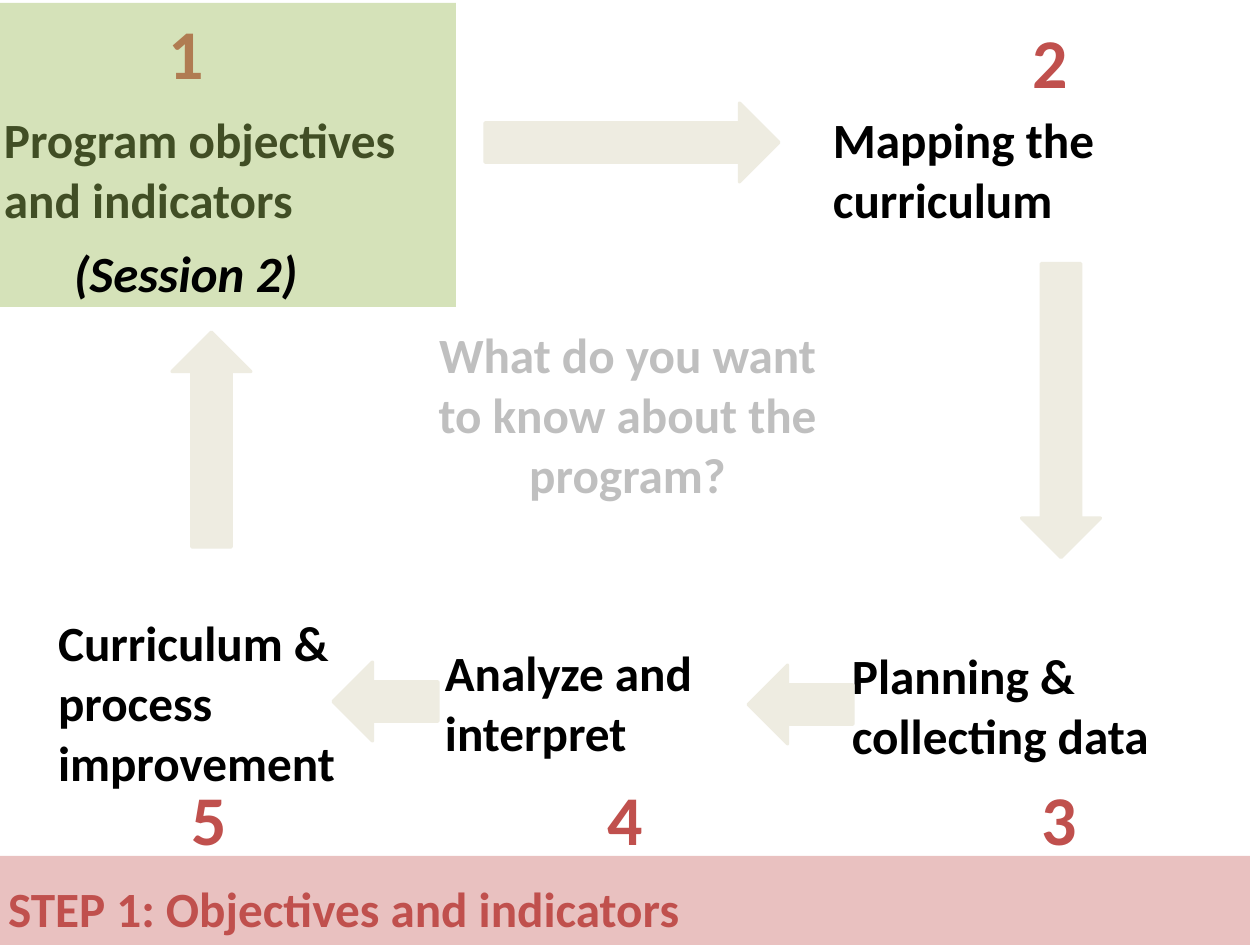
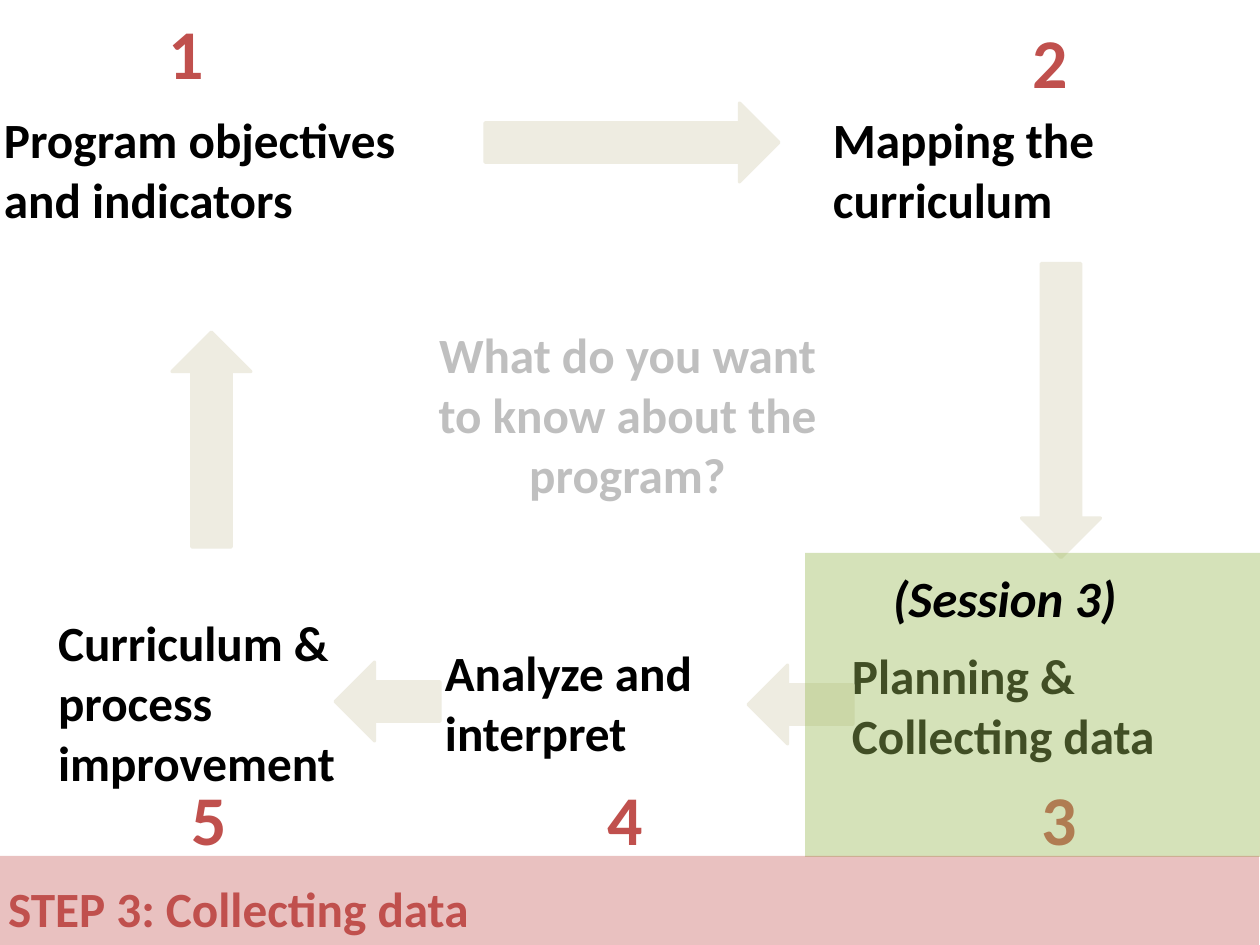
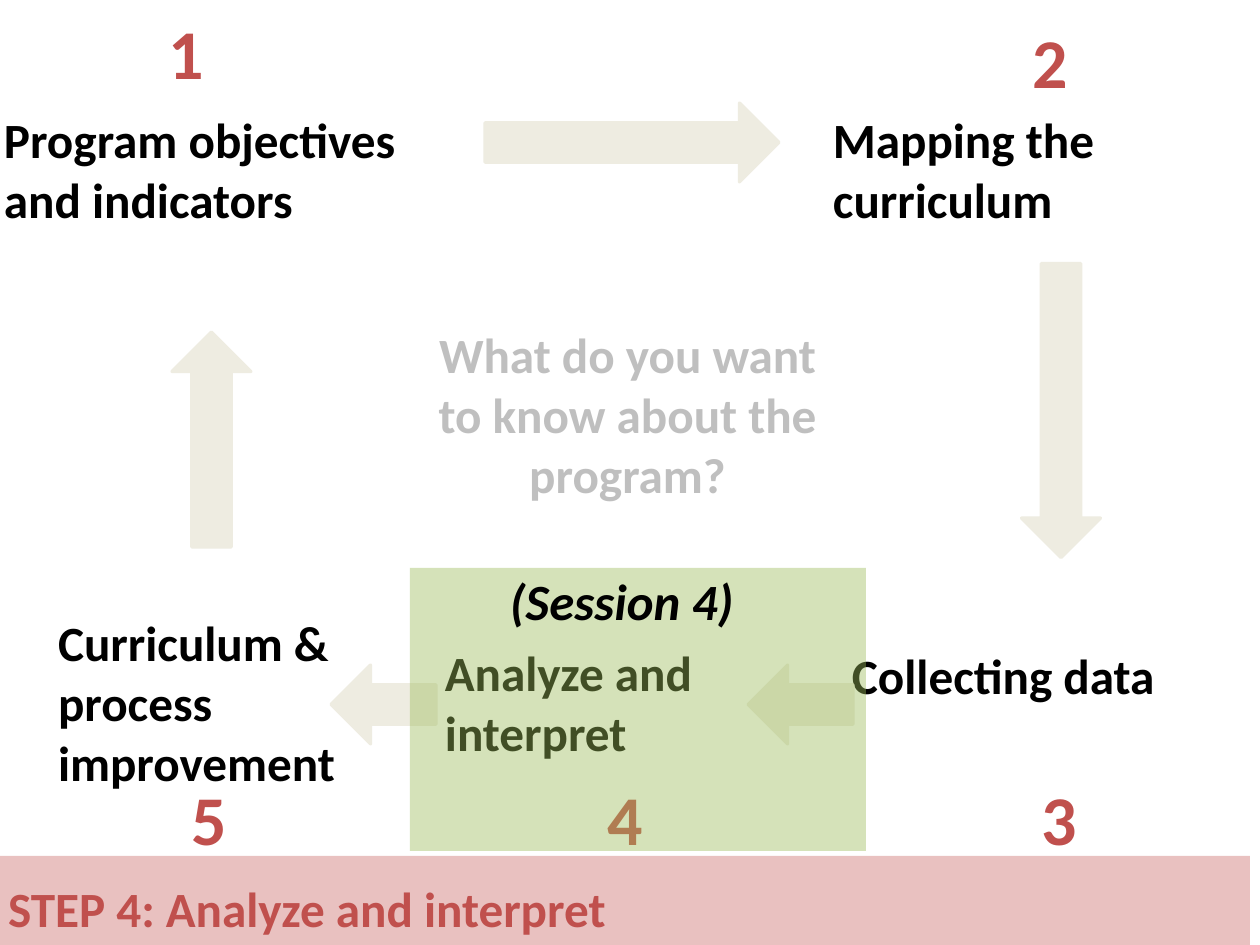
from collections import namedtuple

from lxml import etree
from pptx import Presentation
from pptx.dml.color import RGBColor
from pptx.enum.shapes import MSO_SHAPE
from pptx.enum.text import MSO_AUTO_SIZE, PP_ALIGN
from pptx.oxml.ns import qn
from pptx.util import Emu, Pt

RECTANGLE = MSO_SHAPE.RECTANGLE
RIGHT_ARROW = MSO_SHAPE.RIGHT_ARROW
GROW = MSO_AUTO_SIZE.SHAPE_TO_FIT_TEXT
LEFT, CENTER = PP_ALIGN.LEFT, PP_ALIGN.CENTER

EMU_PER_PX = 8000
PAGE_WIDTH, PAGE_HEIGHT = 1260, 945
FONT = "Calibri"
BLACK, GREY, RED, GREEN, BEIGE = "000000", "BFBFBF", "C0504D", "9BBB59", "EEECE1"
LABEL_SIZE, NOTE_SIZE, NUMBER_SIZE = 31, 32, 44
LINE_SPACING = 1.02
NUMBER_WIDTH, NUMBER_HEIGHT = 61, 99
ARROW_HEIGHT = 79

Box = namedtuple("Box", "left top width height")
Step = namedtuple("Step", "label box number_left number_top")
Session = namedtuple(
    "Session", "title note highlight note_left note_top band_width last_arrow third_step"
)

CYCLE_BOX = Box(0, 0, PAGE_WIDTH, 856)
STEPS = [
    Step("Program objectives and indicators", Box(-9, 102, 441, 135), 156, 2),
    Step("Mapping the curriculum", Box(820, 102, 379, 135), 1020, 11),
    Step("", Box(839, 638, 441, 135), 1029, 768),
    Step("Analyze and interpret", Box(432, 635, 323, 135), 595, 768),
    Step("Curriculum & process improvement", Box(45, 605, 338, 195), 179, 768),
]
ARROWS = [
    (485, 103, 294, 0),
    (104, 400, 215, 270),
    (914, 371, 294, 90),
    (748, 665, 105, 180),
]
SESSIONS = [
    Session("STEP 1: Objectives and indicators", "(Session 2)", Box(0, 3, 456, 304),
            63, 232, 1255, (333, 662, 105, 180), "Planning & collecting data"),
    Session("STEP 3: Collecting data", "(Session 3)", Box(805, 553, 456, 304),
            77, 7, 1264, (335, 662, 105, 180), "Planning & Collecting data"),
    Session("STEP 4: Analyze and interpret", "(Session 4)", Box(410, 568, 456, 283),
            89, -5, 1255, (331, 665, 105, 180), "Collecting data"),
]


def px(length):
    """Turn pixels into EMU."""
    return Emu(length * EMU_PER_PX)


def color(value):
    """Turn a hex string into a colour."""
    return RGBColor.from_string(value)


def inside(outer, left, top, width, height):
    """Return a box placed relative to the corner of an outer box."""
    return Box(outer.left + left, outer.top + top, width, height)


def add_text(page, box, text, size, ink, align=LEFT, wrap=True, italic=False, side_inset=13):
    """Add a bold line of text in a box that grows with it."""
    frame = page.shapes.add_textbox(*map(px, box)).text_frame
    frame.word_wrap = wrap
    frame.auto_size = GROW
    frame.margin_left = frame.margin_right = px(side_inset)
    frame.margin_top = frame.margin_bottom = px(6)
    para = frame.paragraphs[0]
    para.text = text
    para.alignment = align
    para.line_spacing = LINE_SPACING
    para.font.name = FONT
    para.font.size = Pt(size)
    para.font.bold = True
    para.font.italic = italic
    para.font.color.rgb = color(ink)


def add_tint(page, box, fill, opacity):
    """Add a see-through rectangle without outline."""
    shape = page.shapes.add_shape(RECTANGLE, *map(px, box))
    shape.shadow.inherit = False
    shape.line.fill.background()
    shape.fill.solid()
    shape.fill.fore_color.rgb = color(fill)
    fill_color = shape.fill._xPr.find(".//" + qn("a:srgbClr"))
    etree.SubElement(fill_color, qn("a:alpha")).set("val", str(opacity * 1000))


def add_arrow(page, box, rotation):
    """Add a beige block arrow turned by some degrees."""
    arrow = page.shapes.add_shape(RIGHT_ARROW, *map(px, box))
    arrow.shadow.inherit = False
    arrow.rotation = rotation
    arrow.fill.solid()
    arrow.fill.fore_color.rgb = color(BEIGE)
    arrow.line.color.rgb = color(BEIGE)
    arrow.line.width = Pt(2)


def add_cycle(page, box, session):
    """Place the five numbered steps, their arrows and the central question."""
    for step in STEPS:
        add_text(page, inside(box, *step.box), step.label or session.third_step,
                 LABEL_SIZE, BLACK)
    for left, top, length, rotation in ARROWS + [session.last_arrow]:
        add_arrow(page, inside(box, left, top, length, ARROW_HEIGHT), rotation)
    add_text(page, inside(box, 407, 317, 441, 195),
             "What do you want to know about the program?", LABEL_SIZE, GREY, CENTER)
    for number, step in enumerate(STEPS, 1):
        number_box = inside(box, step.number_left, step.number_top, NUMBER_WIDTH, NUMBER_HEIGHT)
        add_text(page, number_box, str(number), NUMBER_SIZE, RED, wrap=False)


def add_title_band(page, box, title):
    """Place the red band and the step title in it."""
    add_tint(page, box, RED, 35)
    add_text(page, inside(box, 0, 15, 1264, 73), title, LABEL_SIZE, RED)


def add_session_page(deck, session):
    """Add one slide with the cycle and its current step highlighted."""
    page = deck.slides.add_slide(deck.slide_layouts[6])
    add_cycle(page, CYCLE_BOX, session)
    add_tint(page, session.highlight, GREEN, 42)
    add_title_band(page, Box(-5, 856, session.band_width, 91), session.title)
    note_box = inside(session.highlight, session.note_left, session.note_top, 262, 74)
    add_text(page, note_box, session.note, NOTE_SIZE, BLACK,
             wrap=False, italic=True, side_inset=11)


def main():
    """Build and save the deck."""
    deck = Presentation()
    deck.slide_width, deck.slide_height = px(PAGE_WIDTH), px(PAGE_HEIGHT)
    for session in SESSIONS:
        add_session_page(deck, session)
    deck.save("out.pptx")


if __name__ == "__main__":
    main()
